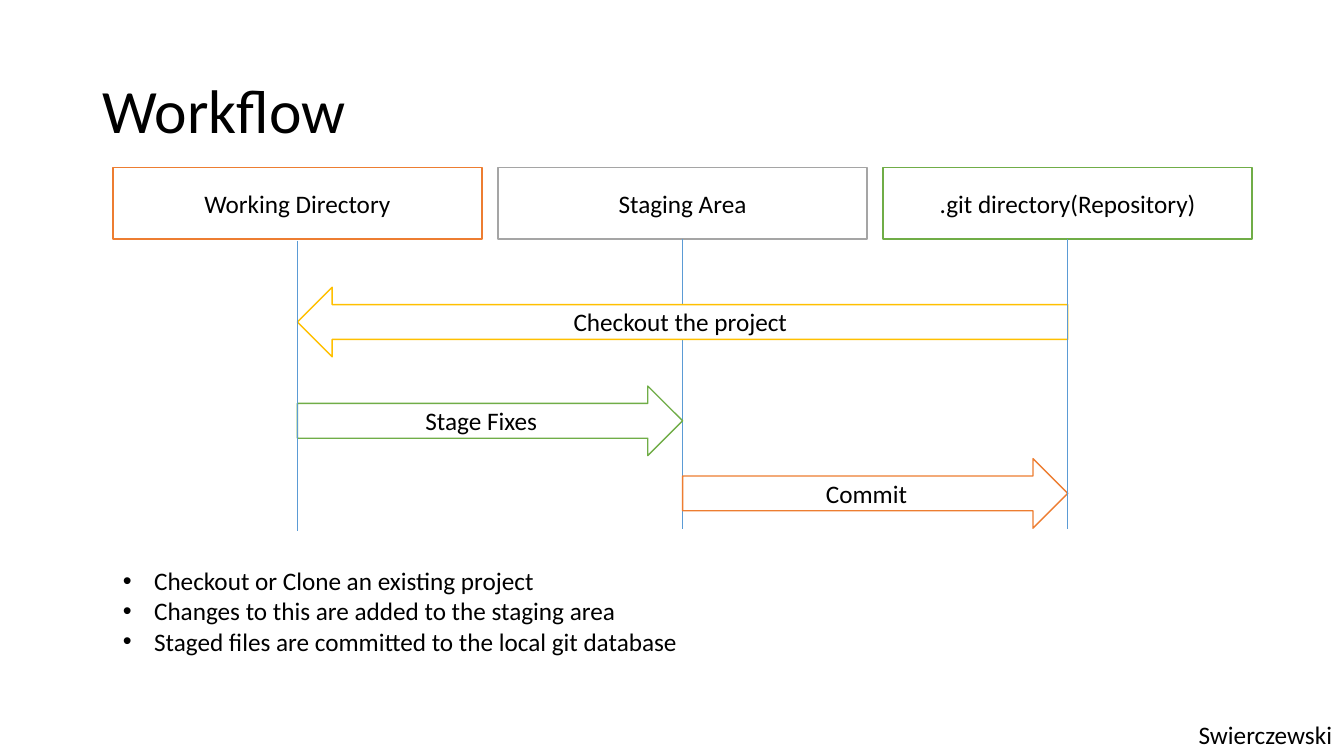
from dataclasses import dataclass

import pptx
import pptx.dml.color
import pptx.enum.shapes
import pptx.enum.text
import pptx.oxml
import pptx.oxml.ns
import pptx.util
from pptx.enum.shapes import MSO_SHAPE
from pptx.enum.text import MSO_ANCHOR, PP_ALIGN

EMU_PER_PX = 9144  # 100 px to the inch


@dataclass(frozen=True)
class Theme:
    font: str = "Calibri"
    text: str = "000000"
    paper: str = "FFFFFF"
    orange: str = "ED7D31"
    gray: str = "A5A5A5"
    green: str = "70AD47"
    gold: str = "FFC000"
    blue: str = "5B9BD5"
    title_size: int = 44
    body_size: int = 18
    outline: float = 1
    lifeline: float = 0.5


THEME = Theme()


@dataclass(frozen=True)
class Area:
    """One stage of the workflow, with the top of the lifeline below it."""
    label: str
    color: str
    lifeline_top: int


@dataclass(frozen=True)
class Step:
    """An arrow between two areas, given by their indexes."""
    label: str
    color: str
    source: int
    target: int
    top: int


@dataclass(frozen=True)
class Caption:
    paragraphs: tuple[str, ...]
    box: tuple[int, int, int, int]
    size: int = THEME.body_size
    anchor: MSO_ANCHOR = MSO_ANCHOR.TOP
    line_spacing: float = 1.0
    wrap: bool = True
    bulleted: bool = False


AREA_LEFT, AREA_TOP, AREA_WIDTH, AREA_HEIGHT, AREA_PITCH = 112, 166, 366, 71, 382
LIFELINE_LENGTH = 288
ARROW_HEIGHT = 69
BULLET_INDENT = 31

AREAS = (
    Area("Working Directory", THEME.orange, 239),
    Area("Staging Area", THEME.gray, 237),
    Area(".git directory(Repository)", THEME.green, 237),
)
CHECKOUT = Step("", THEME.gold, 2, 0, 285)
STAGE_FIXES = Step("Stage Fixes", THEME.green, 0, 1, 383)
COMMIT = Step("Commit", THEME.orange, 1, 2, 455)

CAPTIONS = (
    Caption(("Checkout the project",), (559, 299, 239, 40)),
    Caption(
        (
            "Checkout or Clone an existing project",
            "Changes to this are added to the staging area",
            "Staged files are committed to the local git database",
        ),
        (112, 556, 948, 101),
        bulleted=True,
    ),
    Caption(("Workflow",), (92, 40, 1150, 145), size=THEME.title_size,
            anchor=MSO_ANCHOR.MIDDLE, line_spacing=0.9),
    Caption(("Swierczewski",), (1179, 709, 154, 40), wrap=False),
)


def px(length: int) -> pptx.util.Emu:
    return pptx.util.Emu(length * EMU_PER_PX)


def rgb(color: str) -> pptx.dml.color.RGBColor:
    return pptx.dml.color.RGBColor.from_string(color)


def apply(target: object, values: dict[str, object]) -> None:
    for attribute, value in values.items():
        setattr(target, attribute, value)


def write(paragraph, text: str, size: int = THEME.body_size) -> None:
    run = paragraph.add_run()
    run.text = text
    apply(run.font, {"name": THEME.font, "size": pptx.util.Pt(size)})
    run.font.color.rgb = rgb(THEME.text)


def add_bullet(paragraph) -> None:
    properties = paragraph._p.get_or_add_pPr()
    properties.set("marL", str(px(BULLET_INDENT)))
    properties.set("indent", str(px(-BULLET_INDENT)))
    namespace = pptx.oxml.ns.nsdecls("a")
    for markup in (f'<a:buFont {namespace} typeface="Arial"/>',
                   f'<a:buChar {namespace} char="•"/>'):
        properties.append(pptx.oxml.parse_xml(markup))


def draw_outlined(slide, kind: MSO_SHAPE, box: tuple[int, int, int, int],
                  color: str, label: str) -> None:
    shape = slide.shapes.add_shape(kind, *map(px, box))
    shape.shadow.inherit = False
    shape.fill.solid()
    shape.fill.fore_color.rgb = rgb(THEME.paper)
    shape.line.color.rgb = rgb(color)
    shape.line.width = pptx.util.Pt(THEME.outline)
    if label:
        shape.text_frame.vertical_anchor = MSO_ANCHOR.MIDDLE
        paragraph = shape.text_frame.paragraphs[0]
        paragraph.alignment = PP_ALIGN.CENTER
        write(paragraph, label)


def area_left(index: int) -> int:
    return AREA_LEFT + index * AREA_PITCH


def area_center(index: int) -> int:
    return area_left(index) + AREA_WIDTH // 2


def draw_area(slide, index: int) -> None:
    area = AREAS[index]
    box = (area_left(index), AREA_TOP, AREA_WIDTH, AREA_HEIGHT)
    draw_outlined(slide, MSO_SHAPE.RECTANGLE, box, area.color, area.label)


def draw_lifeline(slide, index: int) -> None:
    x, top = area_center(index), AREAS[index].lifeline_top
    lifeline = slide.shapes.add_connector(
        pptx.enum.shapes.MSO_CONNECTOR.STRAIGHT,
        px(x), px(top), px(x), px(top + LIFELINE_LENGTH))
    lifeline.line.color.rgb = rgb(THEME.blue)
    lifeline.line.width = pptx.util.Pt(THEME.lifeline)
    lifeline._element.spPr.append(pptx.oxml.parse_xml(
        f'<a:effectLst {pptx.oxml.ns.nsdecls("a")}/>'))


def draw_step(slide, step: Step) -> None:
    start, end = area_center(step.source), area_center(step.target)
    kind = MSO_SHAPE.RIGHT_ARROW if end > start else MSO_SHAPE.LEFT_ARROW
    box = (min(start, end), step.top, abs(end - start), ARROW_HEIGHT)
    draw_outlined(slide, kind, box, step.color, step.label)


def draw_caption(slide, caption: Caption) -> None:
    frame = slide.shapes.add_textbox(*map(px, caption.box)).text_frame
    apply(frame, {"word_wrap": caption.wrap, "vertical_anchor": caption.anchor})
    for index, text in enumerate(caption.paragraphs):
        paragraph = frame.add_paragraph() if index else frame.paragraphs[0]
        paragraph.line_spacing = caption.line_spacing
        if caption.bulleted:
            add_bullet(paragraph)
        write(paragraph, text, caption.size)


def main() -> None:
    deck = pptx.Presentation()
    apply(deck, {"slide_width": px(1333), "slide_height": px(750)})
    slide = deck.slides.add_slide(deck.slide_layouts[6])
    for index in range(len(AREAS)):
        draw_area(slide, index)
    # The staging lifeline runs behind the arrows, the outer ones in front.
    draw_lifeline(slide, 1)
    for step in (STAGE_FIXES, COMMIT, CHECKOUT):
        draw_step(slide, step)
    for index in (0, 2):
        draw_lifeline(slide, index)
    for caption in CAPTIONS:
        draw_caption(slide, caption)
    deck.save("out.pptx")


if __name__ == "__main__":
    main()
